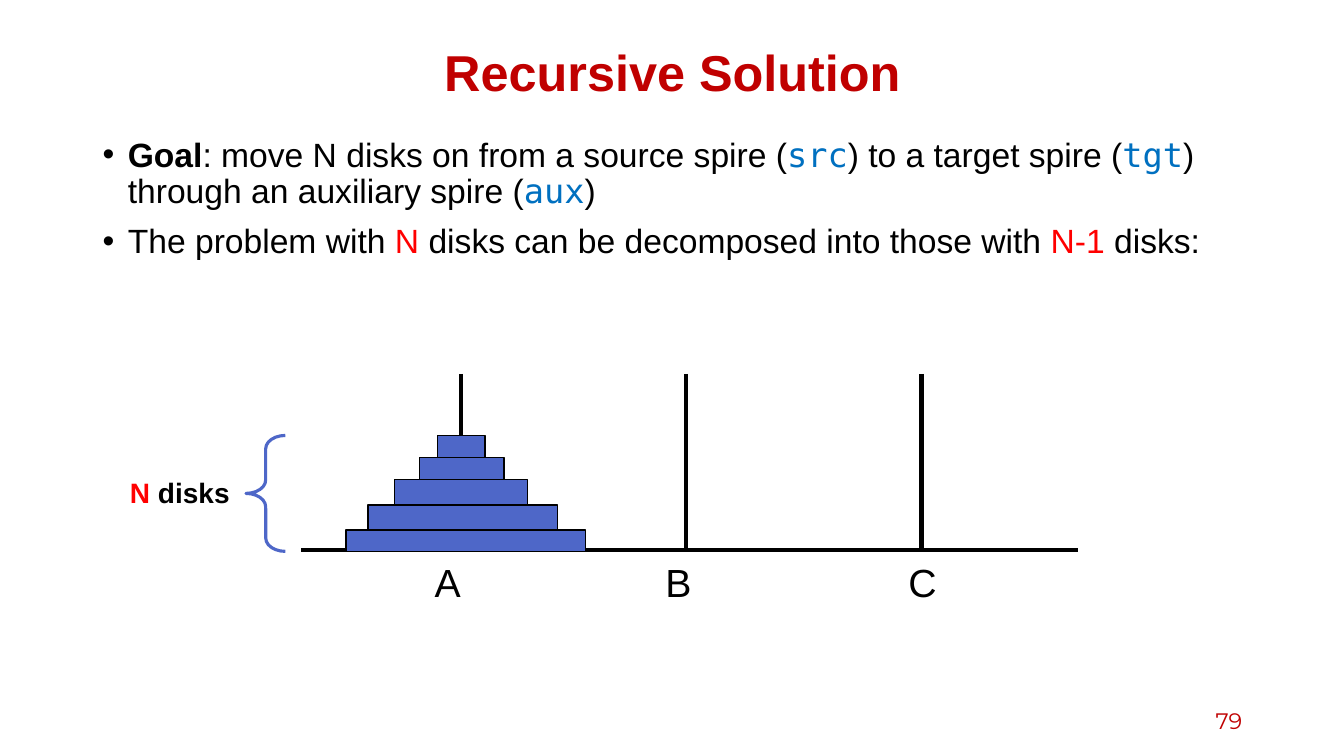
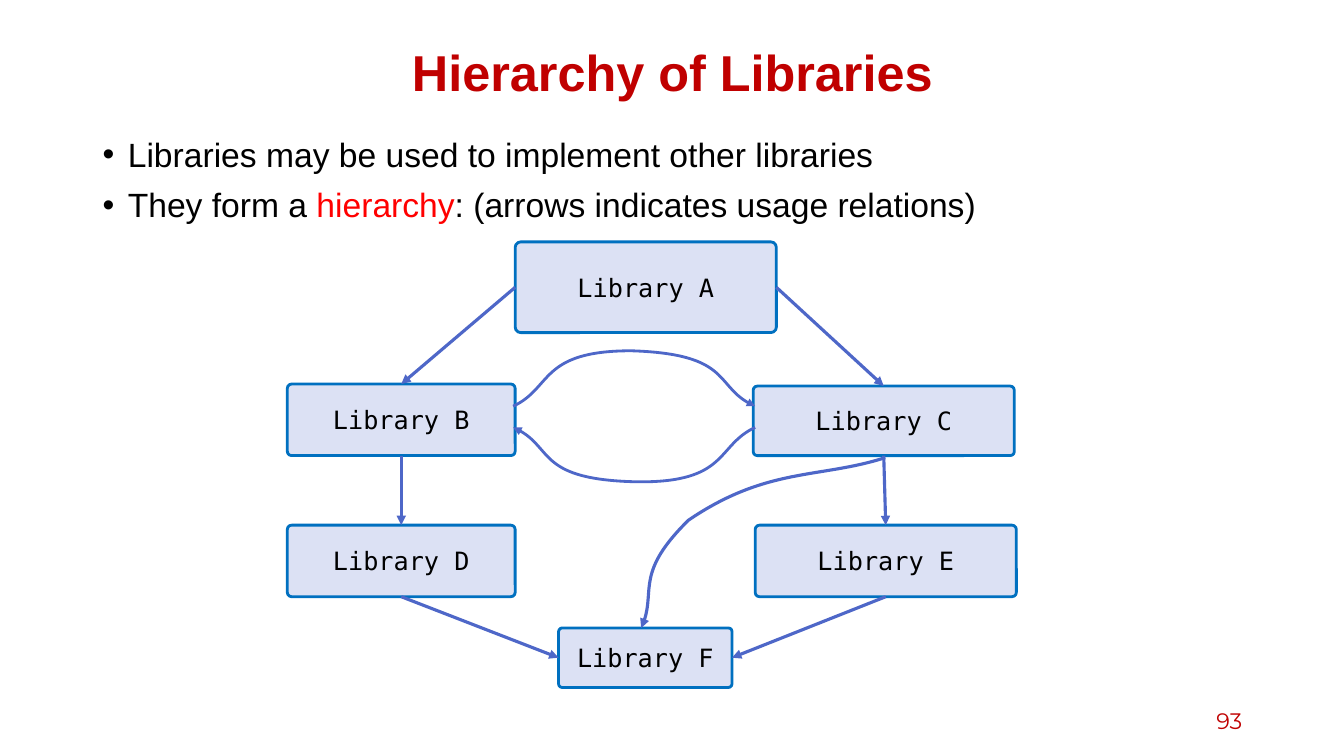
from pptx import Presentation
from pptx.dml.color import RGBColor
from pptx.enum.shapes import MSO_CONNECTOR, MSO_SHAPE
from pptx.enum.text import MSO_ANCHOR, PP_ALIGN
from pptx.oxml.ns import qn
from pptx.util import Pt
from lxml.etree import SubElement

PX = 9144  # EMU in one px, 100 px to the inch
COLORS = {
    "crimson": "C00000", "red": "FF0000", "black": "000000", "sky": "0070C0",
    "indigo": "4E67C8", "pale": "DCE1F4",
}
SANS, MONO, NUMBER_FONT = "Arial", "DejaVu Sans Mono", "Montserrat"
STYLES = {  # font, colour, bold
    "plain": (SANS, "black", False),
    "bold": (SANS, "black", True),
    "red": (SANS, "red", False),
    "red bold": (SANS, "red", True),
    "code": (MONO, "sky", False),
    "box": (MONO, "black", False),
    "title": (SANS, "crimson", True),
    "number": (NUMBER_FONT, "crimson", False),
}
TOP, LEFT, BOTTOM, RIGHT = range(4)

HANOI = {
    "title": "Recursive Solution",
    "number": "79",
    "bullets": [
        [("Goal", "bold"), (": move N disks on from a source spire (", "plain"),
         ("src", "code"), (") to a target spire (", "plain"), ("tgt", "code"),
         (") through an auxiliary spire (", "plain"), ("aux", "code"), (")", "plain")],
        [("The problem with ", "plain"), ("N", "red"),
         (" disks can be decomposed into those with ", "plain"),
         ("N-1", "red"), (" disks:", "plain")],
    ],
}
BASE = (299, 1069, 546)  # left, right, y
SPIRE_TOP = 371
SPIRES = [("A", 457, 444), ("B", 680, 673), ("C", 914, 915)]  # name, x, label centre
DISKS = [(343, 238, 21), (365, 188, 25), (391, 132, 25),  # left, width, height
         (416, 84, 22), (434, 47, 22)]

LIBRARIES = {
    "title": "Hierarchy of Libraries",
    "number": "93",
    "bullets": [
        [("Libraries may be used to implement other libraries", "plain")],
        [("They form a ", "plain"), ("hierarchy", "red"),
         (": (arrows indicates usage relations)", "plain")],
    ],
}
BOXES = {
    "A": (511, 240, 259, 90), "B": (285, 381, 226, 71), "C": (747, 383, 259, 69),
    "D": (285, 521, 226, 71), "E": (749, 521, 259, 71), "F": (554, 623, 172, 59),
}
ARROWS = [
    ("D", BOTTOM, "F", LEFT), ("E", BOTTOM, "F", RIGHT), ("C", BOTTOM, "E", TOP),
    ("B", BOTTOM, "D", TOP), ("A", LEFT, "B", TOP), ("A", RIGHT, "C", TOP),
]
CURVES = [  # line width, start, then two controls and an end for each bend
    (2, (509, 403), [(548, 385), (535, 348), (626, 348),
                     (723, 351), (708, 385), (749, 403)]),
    (2, (749, 424), [(710, 442), (723, 479), (632, 478),
                     (535, 476), (550, 442), (509, 424)]),
    (2.25, (878, 454), [(813, 475), (761, 463), (683, 516),
                        (631, 567), (652, 588), (636, 623)]),
]


def px(*lengths):
    return [length * PX for length in lengths]


def rgb(name):
    return RGBColor.from_string(COLORS[name])


def add_spans(para, spans, size):
    for text, style in spans:
        font_name, color, bold = STYLES[style]
        span = para.add_run()
        span.text = text
        font = span.font
        font.name, font.size, font.bold = font_name, Pt(size), bold
        font.color.rgb = rgb(color)


def add_text(page, area, spans, size, align=PP_ALIGN.LEFT, anchor=MSO_ANCHOR.TOP):
    frame = page.shapes.add_textbox(*px(*area)).text_frame
    frame.word_wrap = True
    frame.vertical_anchor = anchor
    para = frame.paragraphs[0]
    para.alignment = align
    add_spans(para, spans, size)


def add_bullets(page, bullets):
    frame = page.shapes.add_textbox(*px(92, 132, 1150, 551)).text_frame
    frame.word_wrap = True
    for index, spans in enumerate(bullets):
        para = frame.add_paragraph() if index else frame.paragraphs[0]
        para.line_spacing = 0.9
        para.space_before = Pt(10)
        add_spans(para, spans, 24)
        props = para._p.get_or_add_pPr()
        props.set("marL", str(25 * PX))
        props.set("indent", str(-25 * PX))
        SubElement(props, qn("a:buFont")).set("typeface", SANS)
        SubElement(props, qn("a:buChar")).set("char", "•")


def add_page(deck, content):
    """Add a slide with the shared title, bullets and page number."""
    page = deck.slides.add_slide(deck.slide_layouts[5])
    title = page.shapes.title
    title.left, title.top, title.width, title.height = px(92, 40, 1150, 70)
    title.text_frame.vertical_anchor = MSO_ANCHOR.MIDDLE
    para = title.text_frame.paragraphs[0]
    para.alignment, para.line_spacing = PP_ALIGN.CENTER, 0.9
    add_spans(para, [(content["title"], "title")], 36)
    add_bullets(page, content["bullets"])
    add_text(page, (942, 695, 300, 40), [(content["number"], "number")], 16,
             PP_ALIGN.RIGHT, MSO_ANCHOR.MIDDLE)
    return page


def set_line(shape, color, width):
    shape.line.color.rgb = rgb(color)
    shape.line.width = Pt(width)


def add_block(page, kind, area, fill, line, width):
    block = page.shapes.add_shape(kind, *px(*area))
    block.shadow.inherit = False
    if fill:
        block.fill.solid()
        block.fill.fore_color.rgb = rgb(fill)
    else:
        block.fill.background()
    set_line(block, line, width)
    return block


def add_line(page, start, end, color, width):
    line = page.shapes.add_connector(MSO_CONNECTOR.STRAIGHT, *px(*start, *end))
    set_line(line, color, width)
    SubElement(line.element.spPr, qn("a:effectLst"))
    return line


def add_arrowhead(shape):
    SubElement(shape.line._get_or_add_ln(), qn("a:tailEnd")).set("type", "triangle")


def add_curve(page, width, start, points):
    """Draw the points as cubic curves, three points to a bend."""
    builder = page.shapes.build_freeform(*start, scale=PX)
    builder.add_line_segments(points, close=False)
    curve = builder.convert_to_shape()
    steps = curve.element.xpath(".//a:lnTo")
    outline = steps[0].getparent()
    for first in range(0, len(steps), 3):
        bend = SubElement(outline, qn("a:cubicBezTo"))
        for step in steps[first:first + 3]:
            bend.append(step[0])
            outline.remove(step)
    curve.shadow.inherit = False
    curve.fill.background()
    set_line(curve, "indigo", width)
    add_arrowhead(curve)


def build_hanoi(deck):
    page = add_page(deck, HANOI)
    left, right, floor = BASE
    add_line(page, (left, floor), (right, floor), "black", 3)
    for name, x, center in SPIRES:
        add_line(page, (x, SPIRE_TOP), (x, floor), "black", 3)
        add_text(page, (center - 40, 549, 80, 57), [(name, "plain")], 28,
                 PP_ALIGN.CENTER)
    top = floor + 1
    for left, width, height in DISKS:
        top -= height
        add_block(page, MSO_SHAPE.RECTANGLE, (left, top, width, height),
                  "indigo", "black", 1)
    brace = add_block(page, MSO_SHAPE.LEFT_BRACE, (244, top, 39, floor + 1 - top),
                      None, "indigo", 2.25)
    brace.adjustments[0] = 0.34
    add_text(page, (119, 467, 135, 44), [("N", "red bold"), (" disks", "bold")], 20)


def build_libraries(deck):
    page = add_page(deck, LIBRARIES)
    boxes = {}
    for name, area in BOXES.items():
        box = add_block(page, MSO_SHAPE.ROUNDED_RECTANGLE, area, "pale", "sky", 2)
        box.adjustments[0] = 0.06
        frame = box.text_frame
        frame.vertical_anchor = MSO_ANCHOR.MIDDLE
        para = frame.paragraphs[0]
        para.alignment = PP_ALIGN.CENTER
        add_spans(para, [(f"Library {name}", "box")], 18)
        boxes[name] = box
    for source, source_side, target, target_side in ARROWS:
        arrow = add_line(page, (0, 0), (0, 0), "indigo", 2.25)
        arrow.begin_connect(boxes[source], source_side)
        arrow.end_connect(boxes[target], target_side)
        add_arrowhead(arrow)
    for width, start, points in CURVES:
        add_curve(page, width, start, points)


def main():
    deck = Presentation()
    deck.slide_width, deck.slide_height = px(1333, 750)
    build_hanoi(deck)
    build_libraries(deck)
    deck.save("out.pptx")


if __name__ == "__main__":
    main()
